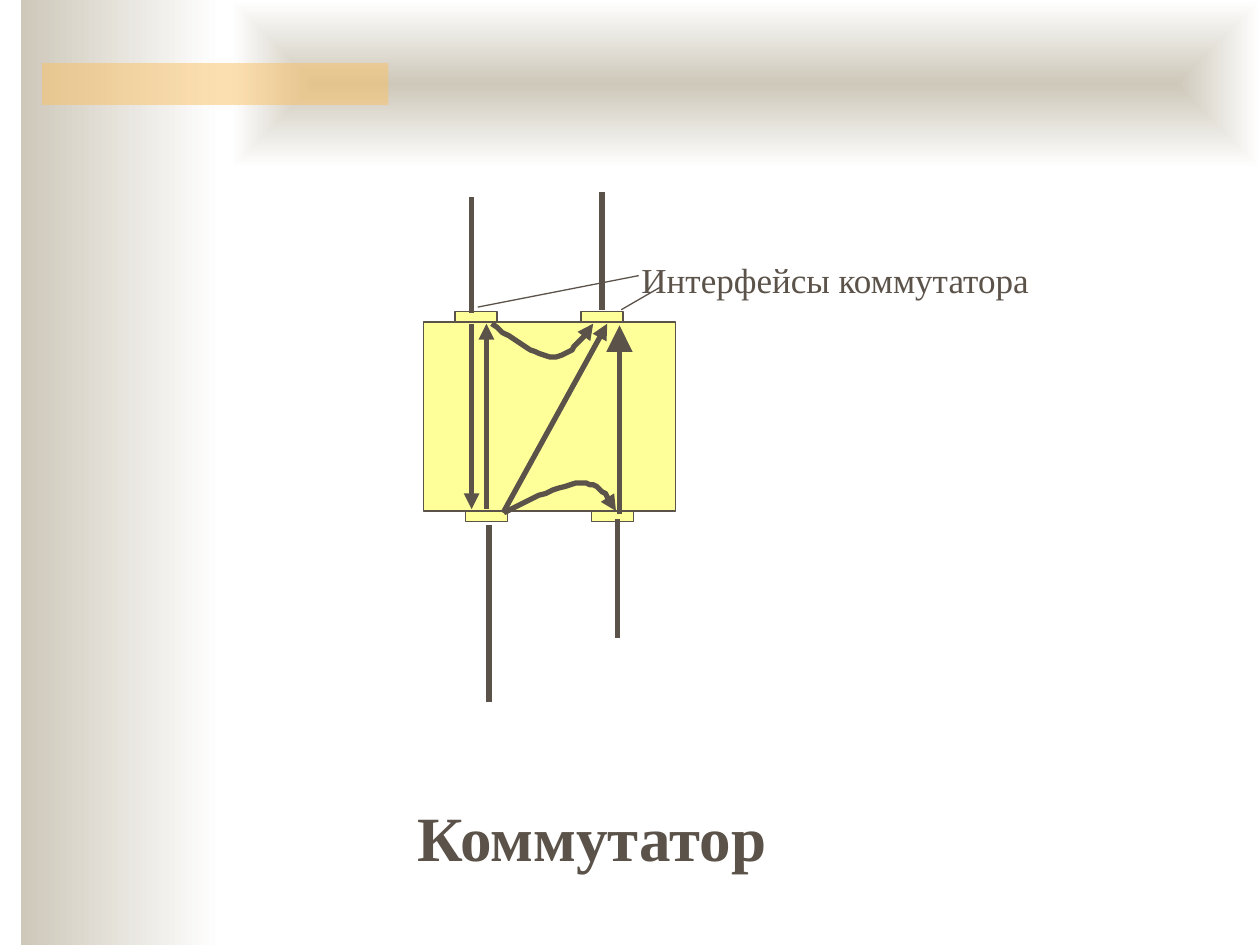
from lxml import etree
from pptx import Presentation
from pptx import util as u
from pptx.dml.color import RGBColor
from pptx.enum import shapes, text
from pptx.oxml import parse_xml
from pptx.oxml.ns import nsdecls, qn

INK, YELLOW, SAND, ORANGE = "5B5249", "FFFF99", "CEC8BA", "FAC164"
FONT = "Times New Roman"

# Boxes are left, top, width, height
SIDE_BAND = (12, 0, 114, 540)
TOP_BAND = (132, 0, 588, 96)
ACCENT_BAR = (24, 36, 198, 24)
SWITCH = (242, 184, 144, 108)
PORT_WIDTH, PORT_HEIGHT = 24, 6
TOP_PORTS, BOTTOM_PORTS = (260, 332), (266, 338)

# Lines are start x, start y, end x, end y
CABLES = [
    (279.5, 300, 279.5, 401),
    (353, 296.5, 353, 364.5),
    (269.5, 179, 269.5, 112.5),
    (344, 177, 344, 110),
]
FLOWS = [  # line, arrowhead size
    ((269.5, 185, 269.5, 291), "med"),
    ((278, 291, 278, 185), "med"),
    ((287.5, 293, 347, 185), "med"),
    ((354, 294, 354, 186), "lg"),
]
LEADERS = [(365, 157.5, 273, 175.5), (377.5, 164, 355, 177)]
# Each curve is a start point, then three points per Bezier segment
CURVED_FLOWS = [
    [(288, 293), (304.5, 284.5), (321, 276.5), (332, 276),
     (342.5, 276), (347, 283.5), (352, 292.5)],
    [(281, 185), (294, 194.5), (306.5, 204), (316, 204),
     (325.5, 204), (332, 194.5), (339, 185)],
]
LABELS = [  # words, box, size, bold, alignment
    ("Интерфейсы коммутатора", (359.5, 144, 283, 31), 20, False, text.PP_ALIGN.LEFT),
    ("Коммутатор", (108.5, 453, 459.5, 50.5), 36, True, text.PP_ALIGN.CENTER),
]


def color(value):
    return RGBColor.from_string(value)


def points(values):
    return [u.Pt(value) for value in values]


def add_rect(slide, box, fill=None, outlined=False):
    rect = slide.shapes.add_shape(shapes.MSO_SHAPE.RECTANGLE, *points(box))
    rect.shadow.inherit = False
    if fill:
        rect.fill.solid()
        rect.fill.fore_color.rgb = color(fill)
    if outlined:
        style_line(rect, 0.75)
    else:
        rect.line.fill.background()
    return rect


def add_gradient_rect(slide, box, direction):
    """Fill from sand to white; direction is the XML that shapes the blend."""
    rect = add_rect(slide, box)
    gradient = parse_xml(
        f'<a:gradFill {nsdecls("a")} rotWithShape="1"><a:gsLst>'
        f'<a:gs pos="0"><a:srgbClr val="{SAND}"/></a:gs>'
        f'<a:gs pos="100000"><a:srgbClr val="FFFFFF"/></a:gs>'
        f'</a:gsLst>{direction}</a:gradFill>')
    rect._element.spPr.find(qn("a:prstGeom")).addnext(gradient)


def style_line(shape, width, head=None):
    shape.line.color.rgb = color(INK)
    shape.line.width = u.Pt(width)
    if head:
        etree.SubElement(shape.line._get_or_add_ln(), qn("a:tailEnd"),
                         type="triangle", w=head, len=head)


def add_line(slide, ends, width, head=None):
    line = slide.shapes.add_connector(shapes.MSO_CONNECTOR.STRAIGHT, *points(ends))
    style_line(line, width, head)
    etree.SubElement(line._element.spPr, qn("a:effectLst"))


def bezier(a, b, c, d, t):
    s = 1 - t
    return tuple(s**3 * p + 3 * s * s * t * q + 3 * s * t * t * r + t**3 * v
                 for p, q, r, v in zip(a, b, c, d))


def add_curve(slide, nodes, steps=12):
    track = [bezier(*nodes[i:i + 4], step / steps)
             for i in range(0, len(nodes) - 1, 3) for step in range(1, steps + 1)]
    builder = slide.shapes.build_freeform(*nodes[0], scale=u.Pt(1))
    builder.add_line_segments(track, close=False)
    curve = builder.convert_to_shape()
    curve.shadow.inherit = False
    curve.fill.background()
    style_line(curve, 3, "med")


def add_label(slide, words, box, size, bold, alignment):
    frame = slide.shapes.add_textbox(*points(box)).text_frame
    frame.word_wrap = True
    para = frame.paragraphs[0]
    para.text = words
    para.alignment = alignment
    para.font.name, para.font.size, para.font.bold = FONT, u.Pt(size), bold
    para.font.color.rgb = color(INK)


def main():
    deck = Presentation()
    deck.slide_width, deck.slide_height = points((720, 540))
    slide = deck.slides.add_slide(deck.slide_layouts[6])

    add_gradient_rect(slide, SIDE_BAND, '<a:lin ang="0" scaled="1"/>')
    add_gradient_rect(slide, TOP_BAND, '<a:path path="rect"><a:fillToRect '
                      'l="50000" t="50000" r="50000" b="50000"/></a:path>'
                      .replace('"rect"', '"shape"'))
    accent = add_rect(slide, ACCENT_BAR, ORANGE)
    accent_color = accent._element.spPr.find(qn("a:solidFill"))[0]
    etree.SubElement(accent_color, qn("a:alpha"), val="50000")

    add_rect(slide, SWITCH, YELLOW, outlined=True)
    top, bottom = SWITCH[1], SWITCH[1] + SWITCH[3]
    for lefts, port_top in ((TOP_PORTS, top - PORT_HEIGHT), (BOTTOM_PORTS, bottom)):
        for left in lefts:
            add_rect(slide, (left, port_top, PORT_WIDTH, PORT_HEIGHT), YELLOW, outlined=True)

    for cable in CABLES:
        add_line(slide, cable, 3)
    for flow, head in FLOWS:
        add_line(slide, flow, 3, head)
    for nodes in CURVED_FLOWS:
        add_curve(slide, nodes)
    for label in LABELS:
        add_label(slide, *label)
    for leader in LEADERS:
        add_line(slide, leader, 0.75)

    deck.save("out.pptx")


if __name__ == "__main__":
    main()
